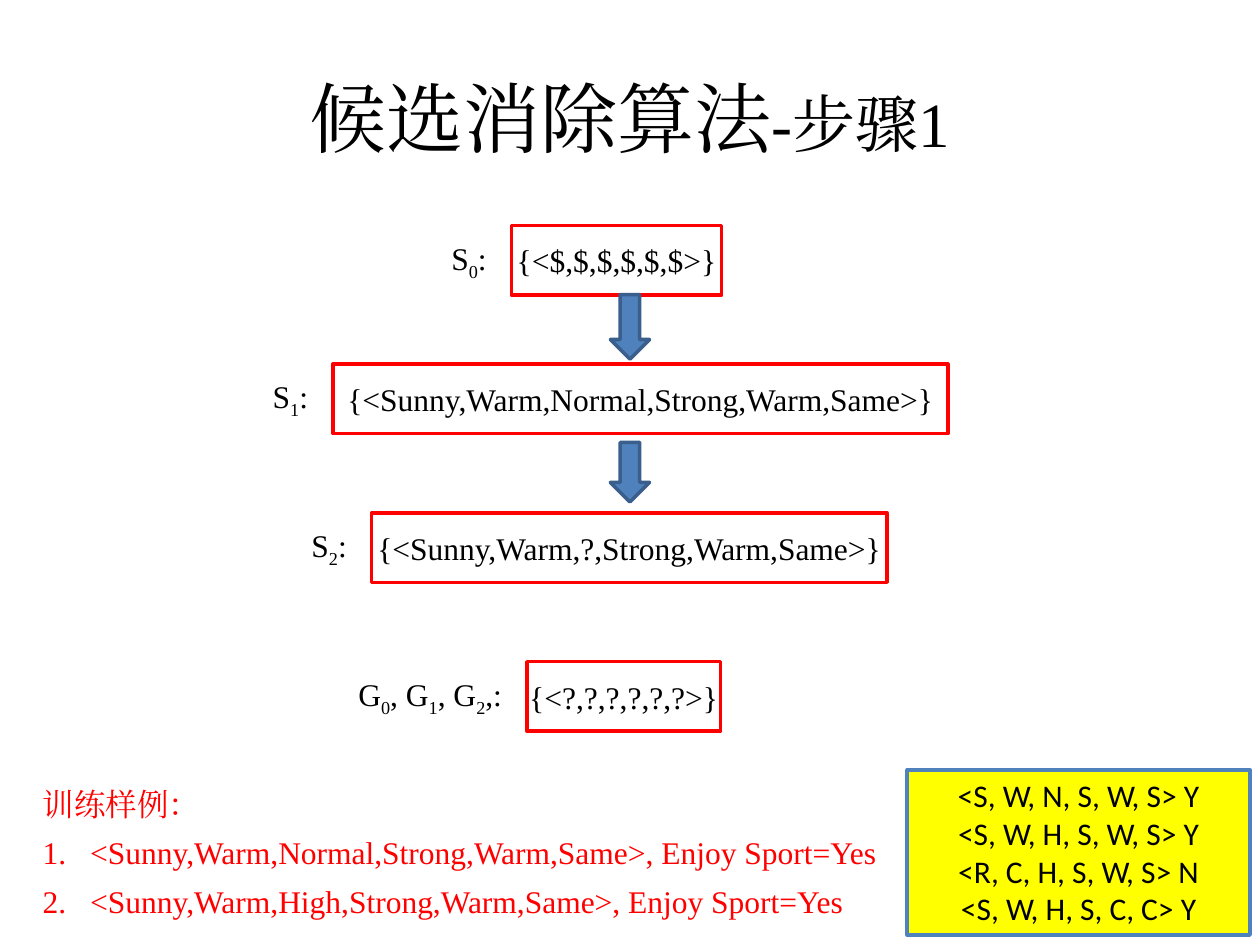
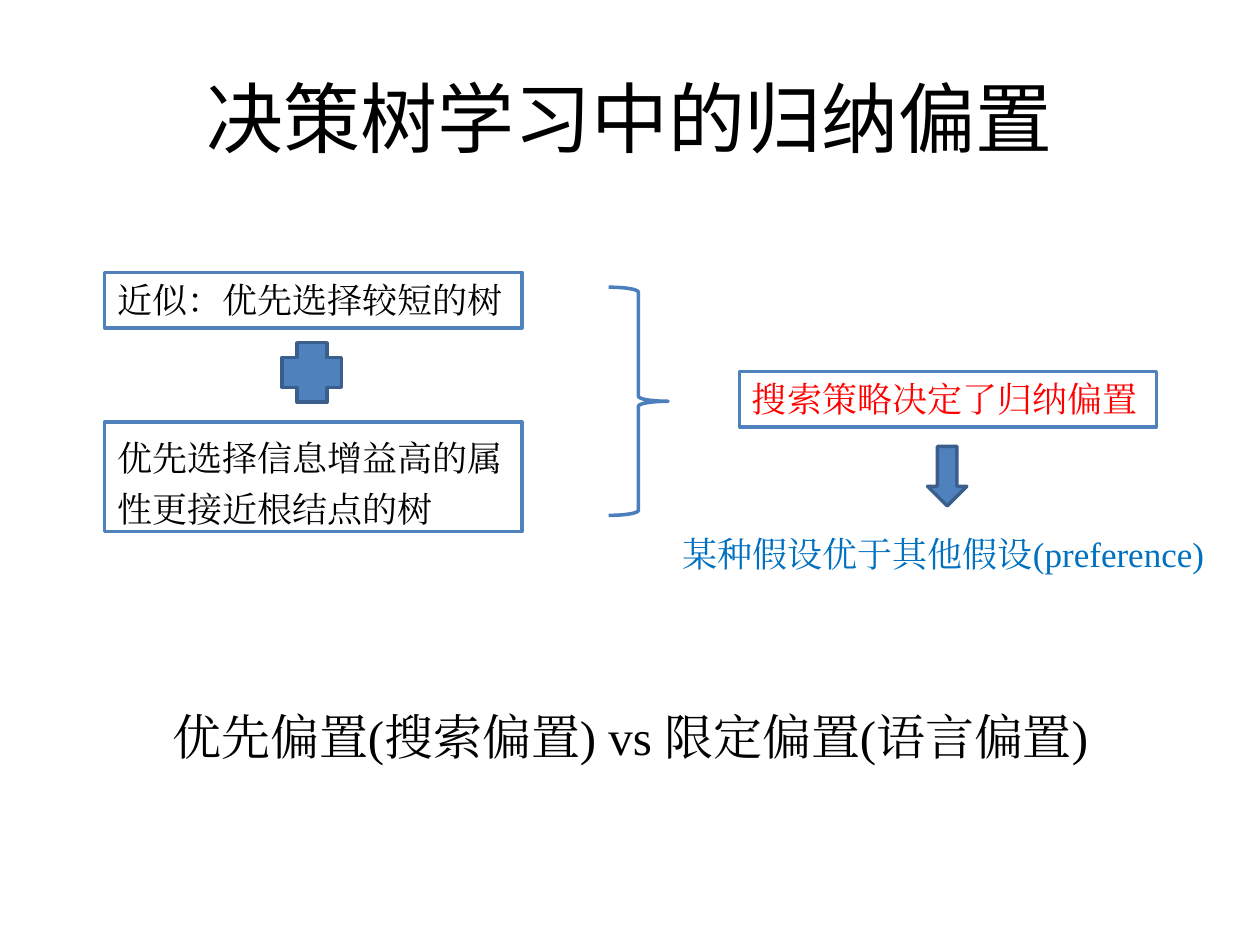
from dataclasses import dataclass

from lxml.etree import SubElement
from pptx import Presentation
from pptx.dml.color import RGBColor
from pptx.enum.shapes import MSO_SHAPE as Preset
from pptx.enum.text import MSO_ANCHOR as Anchor, PP_ALIGN as Align
from pptx.oxml.ns import qn
from pptx.util import Cm, Pt

BLACK = RGBColor(0x00, 0x00, 0x00)
RED = RGBColor(0xFF, 0x00, 0x00)
YELLOW = RGBColor(0xFF, 0xFF, 0x00)
BLUE = RGBColor(0x4F, 0x81, 0xBD)
DARK_BLUE = RGBColor(0x3A, 0x5F, 0x8C)
BRACE_BLUE = RGBColor(0x4B, 0x7E, 0xBC)
TEXT_BLUE = RGBColor(0x00, 0x70, 0xC0)

SERIF = "Times New Roman"
SANS = "Calibri"
CHINESE = "Noto Sans CJK SC"
SLIDE_WIDTH, SLIDE_HEIGHT = 25.4, 19.05
ARROW_WIDTH = 0.79


@dataclass
class Span:
    text: str
    size: float = None
    subscript: bool = False


@dataclass
class TextStyle:
    size: float = 18
    color: RGBColor = BLACK
    font: str = SERIF
    align: Align = Align.CENTER
    anchor: Anchor = Anchor.TOP
    line_spacing: float = None


class SlideBuilder:
    """Holds the deck and the slide being filled; positions are in centimetres."""

    def __init__(self):
        self.deck = Presentation()
        self.deck.slide_width = Cm(SLIDE_WIDTH)
        self.deck.slide_height = Cm(SLIDE_HEIGHT)
        self.page = None

    def new_page(self, *title_spans, font=SERIF):
        self.page = self.deck.slides.add_slide(self.deck.slide_layouts[6])
        style = TextStyle(size=44, font=font, anchor=Anchor.MIDDLE)
        self.text(1.27, 0.76, 22.86, 3.18, [title_spans], style)

    def add_span(self, para, span, style):
        run = para.add_run()
        run.text = span.text
        run.font.size = Pt(span.size or style.size)
        run.font.name = style.font
        run.font.color.rgb = style.color
        properties = run._r.get_or_add_rPr()
        SubElement(properties, qn("a:ea"), typeface=style.font)
        if span.subscript:
            properties.set("baseline", "-25000")

    def fill_text(self, box, paragraphs, style):
        """Fill a box; each paragraph is a string or a sequence of spans."""
        frame = box.text_frame
        frame.word_wrap = True
        frame.vertical_anchor = style.anchor
        for index, content in enumerate(paragraphs):
            para = frame.add_paragraph() if index else frame.paragraphs[0]
            para.alignment = style.align
            if style.line_spacing:
                para.line_spacing = style.line_spacing
            spans = [Span(content)] if isinstance(content, str) else content
            for span in spans:
                self.add_span(para, span, style)

    def text(self, left, top, width, height, paragraphs, style):
        box = self.page.shapes.add_textbox(Cm(left), Cm(top), Cm(width), Cm(height))
        self.fill_text(box, paragraphs, style)
        return box

    def shape(self, preset, left, top, width, height, line, fill=None):
        shape = self.page.shapes.add_shape(
            preset, Cm(left), Cm(top), Cm(width), Cm(height))
        shape.shadow.inherit = False
        shape.line.color.rgb = line
        shape.line.width = Pt(2)
        if fill is None:
            shape.fill.background()
        else:
            shape.fill.solid()
            shape.fill.fore_color.rgb = fill
        return shape

    def framed_text(self, left, top, width, height, paragraphs, style,
                    line=BLUE, fill=None):
        box = self.shape(Preset.RECTANGLE, left, top, width, height, line, fill)
        self.fill_text(box, paragraphs, style)
        return box

    def down_arrow(self, left, top, height):
        self.shape(Preset.DOWN_ARROW, left, top, ARROW_WIDTH, height, DARK_BLUE, BLUE)

    def hypothesis_set(self, label, value, left, top, width):
        """Draw a red frame round a value, with its label to the left."""
        height, gap, label_width = 1.4, 0.5, 5
        style = TextStyle(anchor=Anchor.MIDDLE)
        frame = self.framed_text(left, top, width, height, [value], style, line=RED)
        spans = [Span(part, subscript=index % 2 == 1)
                 for index, part in enumerate(label)]
        label_style = TextStyle(align=Align.RIGHT, anchor=Anchor.MIDDLE)
        caption = self.text(left - gap - label_width, top, label_width, height,
                            [spans], label_style)
        for box in (frame, caption):
            box.text_frame.margin_left = box.text_frame.margin_right = 0

    def numbered_list(self, left, top, width, height, heading, items, style):
        box = self.text(left, top, width, height, [heading, *items], style)
        first, *numbered = box.text_frame.paragraphs
        first.space_after = Pt(3)
        for para in numbered:
            para.space_before = para.space_after = Pt(3)
            properties = para._p.get_or_add_pPr()
            properties.set("marL", str(Cm(0.96)))
            properties.set("indent", str(-Cm(0.96)))
            SubElement(properties, qn("a:buFont"), typeface=style.font)
            SubElement(properties, qn("a:buAutoNum"), type="arabicPeriod")


def candidate_elimination(builder):
    builder.new_page(Span("候选消除算法"), Span("-步骤1", size=36))
    hypothesis_sets = [
        (("S", "0", ":"), "{<$,$,$,$,$,$>}", 10.31, 4.55, 4.24),
        (("S", "1", ":"), "{<Sunny,Warm,Normal,Strong,Warm,Same>}", 6.71, 7.34, 12.4),
        (("S", "2", ":"), "{<Sunny,Warm,?,Strong,Warm,Same>}", 7.49, 10.34, 10.39),
        (("G", "0", ", G", "1", ", G", "2", ",:"), "{<?,?,?,?,?,?>}",
         10.62, 13.34, 3.91),
    ]
    for hypothesis in hypothesis_sets:
        builder.hypothesis_set(*hypothesis)
    for top, height in ((5.94, 1.3), (8.92, 1.2)):
        builder.down_arrow((SLIDE_WIDTH - ARROW_WIDTH) / 2, top, height)

    builder.numbered_list(
        0.61, 15.7, 17.6, 3.2, "训练样例：",
        ["<Sunny,Warm,Normal,Strong,Warm,Same>, Enjoy Sport=Yes",
         "<Sunny,Warm,High,Strong,Warm,Same>, Enjoy Sport=Yes"],
        TextStyle(color=RED, align=Align.LEFT))
    builder.framed_text(
        18.29, 15.52, 6.91, 3.33,
        ["<S, W, N, S, W, S> Y", "<S, W, H, S, W, S> Y",
         "<R, C, H, S, W, S> N", "<S, W, H, S, C, C> Y"],
        TextStyle(font=SANS), fill=YELLOW)


def inductive_bias(builder):
    builder.new_page(Span("决策树学习中的归纳偏置"), font=CHINESE)
    box_width, box_height = 8.41, 1.12
    plain = TextStyle(size=20, align=Align.LEFT)
    spaced = TextStyle(size=20, align=Align.LEFT, line_spacing=1.2)
    strategy = TextStyle(size=20, color=RED, align=Align.LEFT)

    builder.framed_text(2.11, 5.49, box_width, box_height,
                        ["近似：优先选择较短的树"], plain)
    builder.shape(Preset.CROSS, 5.69, 6.91, 1.2, 1.2, DARK_BLUE, BLUE)
    builder.framed_text(2.11, 8.51, box_width, 2.21,
                        ["优先选择信息增益高的属性更接近根结点的树"], spaced)
    builder.shape(Preset.RIGHT_BRACE, 12.27, 5.79, 1.2, 4.6, BRACE_BLUE)

    builder.framed_text(14.91, 7.49, box_width, box_height,
                        ["搜索策略决定了归纳偏置"], strategy)
    builder.down_arrow(18.7, 9, 1.2)
    builder.text(13.11, 10.62, 11.81, box_height,
                 ["某种假设优于其他假设(preference)"],
                 TextStyle(size=20, color=TEXT_BLUE))
    builder.text(2.9, 14.12, 19.61, 2.9,
                 ["优先偏置(搜索偏置) vs 限定偏置(语言偏置)"], TextStyle(size=28))


def main():
    builder = SlideBuilder()
    candidate_elimination(builder)
    inductive_bias(builder)
    builder.deck.save("out.pptx")


if __name__ == "__main__":
    main()
